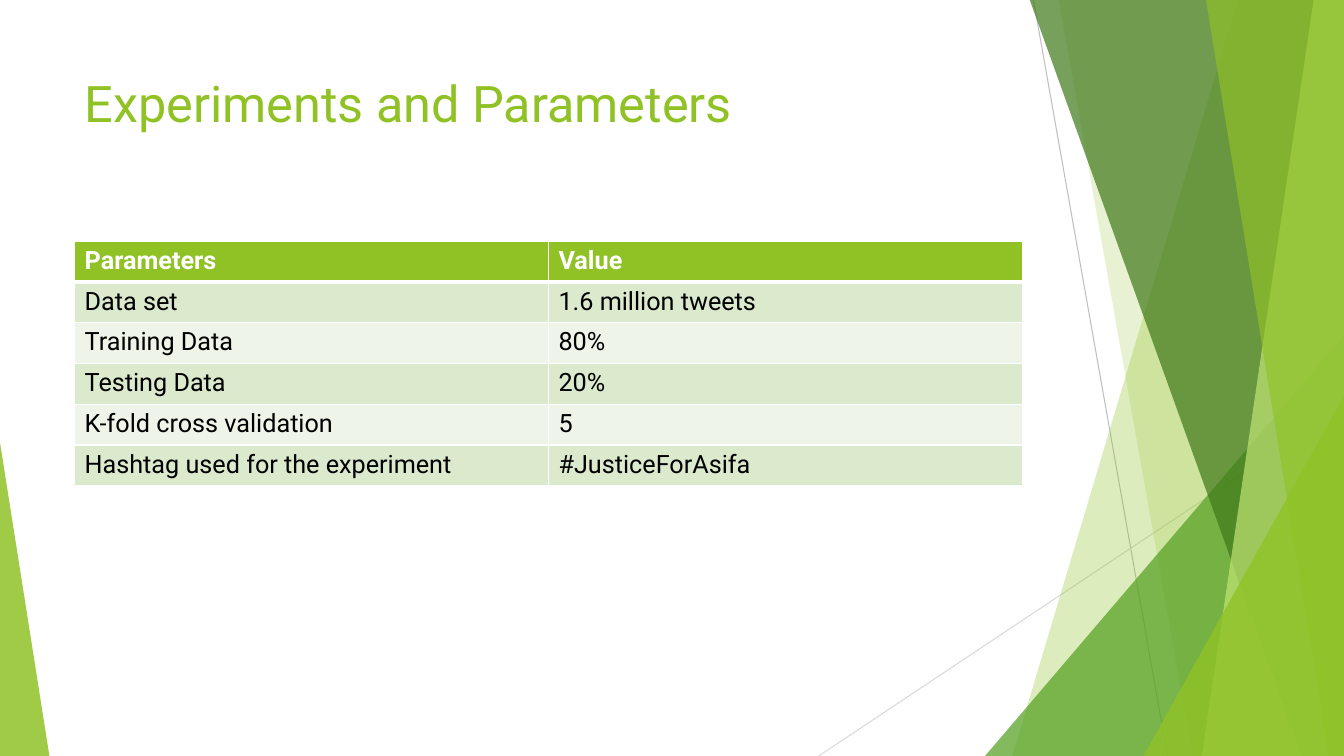
from lxml import etree
from pptx import Presentation
from pptx.dml.color import RGBColor
from pptx.enum import shapes, text
from pptx.oxml import ns
from pptx.util import Emu, Inches, Pt

TITLE = "Experiments and Parameters"
ROWS = [
    ("Parameters", "Value"),
    ("Data set", "1.6 million tweets"),
    ("Training Data", "80%"),
    ("Testing Data", "20%"),
    ("K-fold cross validation", "5"),
    ("Hashtag used for the experiment", "#JusticeForAsifa"),
]

FONT = "Roboto"
WHITE = RGBColor(0xFF, 0xFF, 0xFF)
BLACK = RGBColor(0, 0, 0)
LIME = RGBColor(0x90, 0xC2, 0x26)
GREEN = RGBColor(0x54, 0xA0, 0x21)
FOREST = RGBColor(0x3F, 0x78, 0x19)
PALE = RGBColor(0xC0, 0xE4, 0x74)
BANDS = RGBColor(0xEE, 0xF4, 0xE8), RGBColor(0xDB, 0xE9, 0xCD)
GREY = RGBColor(0xBF, 0xBF, 0xBF)
LIGHT_GREY = RGBColor(0xD9, 0xD9, 0xD9)

W, H, TOP = 13.33, 7.5, -0.01
LEFT, BODY_W, ROW_H = 0.74, 9.4, 0.405

# Hairlines: start, end, colour
HAIRLINES = [
    ((10.25, 0), (11.58, H), GREY),
    ((W, 4.03), (8.12, H), LIGHT_GREY),
]
# Bands reach the right edge: ("band", top x, bottom x, colour, opacity %)
# Wedges stand on the bottom edge: ("wedge", left, width, height, apex, ...)
FACETS = [
    ("band", 12.28, 10.04, LIME, 30),
    ("band", 10.5, 11.83, LIME, 20),
    ("wedge", 9.77, 3.56, 4.17, 1, GREEN, 72),
    ("band", 10.21, 12.91, FOREST, 70),
    ("band", 13.03, 11.92, PALE, 70),
    ("band", 11.96, 13.18, LIME, 65),
    ("wedge", 11.34, 1.99, 3.57, 1, LIME, 80),
    ("wedge", 0, 0.49, 3.11, 0, LIME, 85),
]

prs = Presentation()
prs.slide_width, prs.slide_height = Inches(W), Inches(H)
s = prs.slides.add_slide(prs.slide_layouts[5])


def write(tf, words, size=18, color=BLACK, bold=False):
    p = tf.paragraphs[0]
    p.alignment = text.PP_ALIGN.LEFT
    r = p.add_run()
    r.text = words
    r.font.name, r.font.size, r.font.bold = FONT, Pt(size), bold
    r.font.color.rgb = color


def paint(sp, color, opacity):
    sp.shadow.inherit = False
    sp.line.fill.background()
    sp.fill.solid()
    sp.fill.fore_color.rgb = color
    clr = sp.fill._xPr.find(".//" + ns.qn("a:srgbClr"))
    etree.SubElement(clr, ns.qn("a:alpha"), val=str(opacity * 1000))


def add_band(top_x, bottom_x):
    points = [(top_x, TOP), (W, TOP), (W, H), (bottom_x, H)]
    corners = [(Inches(x), Inches(y)) for x, y in points]
    builder = s.shapes.build_freeform(*corners[0])
    builder.add_line_segments(corners[1:], close=True)
    return builder.convert_to_shape()


def add_wedge(left, width, height, apex):
    sp = s.shapes.add_shape(
        shapes.MSO_SHAPE.ISOSCELES_TRIANGLE,
        Inches(left), Inches(H - height), Inches(width), Inches(height))
    sp.adjustments[0] = apex
    return sp


def set_border(cell, side, points):
    ln = etree.SubElement(cell._tc.get_or_add_tcPr(), ns.qn("a:" + side),
                          w=str(Pt(points)))
    fill = etree.SubElement(ln, ns.qn("a:solidFill"))
    etree.SubElement(fill, ns.qn("a:srgbClr"), val=str(WHITE))


# Faceted decoration
for start, end, color in HAIRLINES:
    line = s.shapes.add_connector(
        shapes.MSO_CONNECTOR.STRAIGHT, *map(Inches, start + end))
    line.line.color.rgb = color
    line.line.width = Pt(0.75)
    etree.SubElement(line._element.spPr, ns.qn("a:effectLst"))

for kind, *measures, color, opacity in FACETS:
    add = add_band if kind == "band" else add_wedge
    paint(add(*measures), color, opacity)

# Title
title = s.shapes.title
title.left, title.top = Inches(LEFT), Inches(0.67)
title.width, title.height = Inches(BODY_W), Inches(1.44)
title.text_frame.vertical_anchor = text.MSO_ANCHOR.TOP
title.text_frame.word_wrap = True
write(title.text_frame, TITLE, size=36, color=LIME)

# Parameter table
table = s.shapes.add_table(
    len(ROWS), len(ROWS[0]), Inches(LEFT), Inches(2.39),
    Inches(BODY_W), Emu(Inches(ROW_H) * len(ROWS))).table
for i, row in enumerate(ROWS):
    header = i == 0
    for j, words in enumerate(row):
        cell = table.cell(i, j)
        write(cell.text_frame, words, color=WHITE if header else BLACK,
              bold=header)
        for side in ("lnL", "lnR", "lnT", "lnB"):
            thick = (header and side == "lnB") or (i == 1 and side == "lnT")
            set_border(cell, side, 3 if thick else 1)
        cell.fill.solid()
        cell.fill.fore_color.rgb = LIME if header else BANDS[i % 2]

prs.save("out.pptx")
